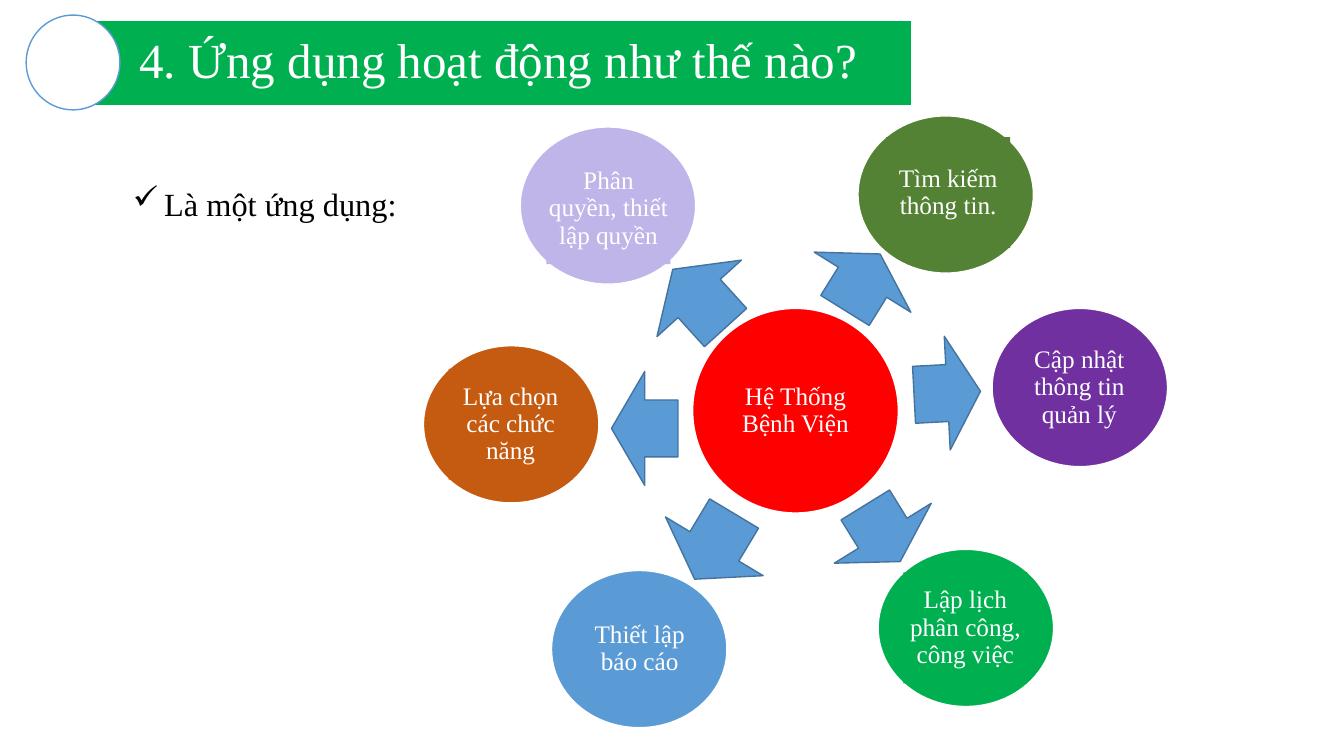
from dataclasses import dataclass

from lxml import etree
from pptx import Presentation
from pptx.dml.color import RGBColor
from pptx.enum.shapes import MSO_SHAPE
from pptx.enum.text import MSO_ANCHOR, PP_ALIGN
from pptx.oxml.ns import qn
from pptx.shapes.autoshape import Shape
from pptx.slide import Slide
from pptx.util import Inches, Pt

ELLIPSE = MSO_SHAPE.OVAL
RECTANGLE = MSO_SHAPE.RECTANGLE
UP_ARROW = MSO_SHAPE.UP_ARROW
MIDDLE = MSO_ANCHOR.MIDDLE
LEFT, CENTER, JUSTIFY = PP_ALIGN.LEFT, PP_ALIGN.CENTER, PP_ALIGN.JUSTIFY


@dataclass(frozen=True)
class Theme:
    font: str = "Times New Roman"
    title_size: float = 35
    body_size: float = 23.1
    label_size: float = 18
    white: str = "FFFFFF"
    black: str = "000000"
    green: str = "00B050"
    red: str = "FF0000"
    olive: str = "548235"
    purple: str = "7030A0"
    blue: str = "5B9BD5"
    dark_blue: str = "43739E"
    orange: str = "C55A11"
    lilac: str = "C0B5E9"


THEME = Theme()


@dataclass(frozen=True)
class Box:
    left: float
    top: float
    width: float
    height: float

    def lengths(self) -> tuple[int, int, int, int]:
        return (Inches(self.left), Inches(self.top),
                Inches(self.width), Inches(self.height))


@dataclass(frozen=True)
class Bubble:
    """A coloured ellipse and its label; some labels have a filled backing."""
    text: str
    color: str
    ellipse: Box
    label: Box
    label_filled: bool = False
    inset: float = 0.02


@dataclass(frozen=True)
class Arrow:
    left: float
    top: float
    rotation: float
    height: float = 0.66
    width: float = 1.13


BUBBLES = (
    Bubble("Hệ Thống Bệnh Viện", THEME.red,
           Box(6.87, 3.06, 2.04, 2.03), Box(7.17, 3.36, 1.44, 1.43), inset=0.03),
    Bubble("Tìm kiếm thông tin.", THEME.olive,
           Box(8.51, 1.15, 1.74, 1.56), Box(8.79, 1.36, 1.23, 1.1), True),
    Bubble("Cập nhật thông tin quản lý", THEME.purple,
           Box(9.84, 3.06, 1.74, 1.57), Box(10.09, 3.29, 1.23, 1.11)),
    Bubble("Lập lịch phân công, công việc", THEME.green,
           Box(8.71, 5.45, 1.74, 1.56), Box(8.96, 5.68, 1.23, 1.1), True),
    Bubble("Thiết lập báo cáo", THEME.blue,
           Box(5.47, 5.66, 1.74, 1.56), Box(5.73, 5.89, 1.23, 1.1)),
    Bubble("Lựa chọn các chức năng", THEME.orange,
           Box(4.2, 3.43, 1.74, 1.56), Box(4.45, 3.66, 1.23, 1.1), True),
    Bubble("Phân quyền, thiết lập quyền", THEME.lilac,
           Box(5.16, 1.26, 1.74, 1.56), Box(5.42, 1.52, 1.23, 1.1), True),
)

ARROWS = (
    Arrow(6.37, 2.57, 317.8, height=0.78),
    Arrow(8.19, 4.96, 148.3),
    Arrow(5.83, 3.92, 270),
    Arrow(6.52, 5.04, 211, height=0.76),
    Arrow(8.83, 3.57, 87),
    Arrow(7.99, 2.47, 31.9),
)


def add_filled_shape(slide: Slide, kind: MSO_SHAPE, box: Box, fill: str,
                     line: str | None = None) -> Shape:
    shape = slide.shapes.add_shape(kind, *box.lengths())
    shape.shadow.inherit = False
    shape.fill.solid()
    shape.fill.fore_color.rgb = RGBColor.from_string(fill)
    if line is None:
        shape.line.fill.background()
    else:
        shape.line.color.rgb = RGBColor.from_string(line)
        shape.line.width = Pt(1)
    return shape


def set_text(shape: Shape, text: str, size: float, color: str,
             alignment: PP_ALIGN, line_spacing: float = 0.9) -> None:
    shape.text_frame.word_wrap = True
    paragraph = shape.text_frame.paragraphs[0]
    paragraph.text = text
    paragraph.alignment = alignment
    paragraph.line_spacing = line_spacing
    paragraph.font.name = THEME.font
    paragraph.font.size = Pt(size)
    paragraph.font.color.rgb = RGBColor.from_string(color)


def set_insets(shape: Shape, inset: float, left: float) -> None:
    frame = shape.text_frame
    frame.vertical_anchor = MIDDLE
    frame.margin_left = Inches(left)
    frame.margin_top = frame.margin_right = frame.margin_bottom = Inches(inset)


def add_bubble(slide: Slide, bubble: Bubble) -> None:
    add_filled_shape(slide, ELLIPSE, bubble.ellipse, bubble.color, THEME.white)
    if bubble.label_filled:
        label = add_filled_shape(slide, RECTANGLE, bubble.label, bubble.color)
    else:
        label = slide.shapes.add_textbox(*bubble.label.lengths())
    set_insets(label, bubble.inset, bubble.inset)
    set_text(label, bubble.text, THEME.label_size, THEME.white, CENTER)


def add_arrow(slide: Slide, arrow: Arrow) -> None:
    box = Box(arrow.left, arrow.top, arrow.width, arrow.height)
    shape = add_filled_shape(slide, UP_ARROW, box, THEME.blue, THEME.dark_blue)
    shape.rotation = arrow.rotation


def add_title(slide: Slide) -> None:
    banner = add_filled_shape(slide, RECTANGLE, Box(0.79, 0.2, 8.25, 0.85),
                              THEME.green, THEME.white)
    set_insets(banner, 0.1, left=0.59)
    set_text(banner, "4. Ứng dụng hoạt động như thế nào?",
             THEME.title_size, THEME.white, LEFT)
    add_filled_shape(slide, ELLIPSE, Box(0.26, 0.15, 0.93, 0.94),
                     THEME.white, THEME.blue)


def add_check_item(slide: Slide) -> None:
    item = slide.shapes.add_textbox(*Box(1.22, 1.62, 3.97, 0.66).lengths())
    set_text(item, "Là một ứng dụng:", THEME.body_size, THEME.black,
             JUSTIFY, line_spacing=1.4)
    paragraph = item.text_frame.paragraphs[0]
    paragraph.space_before = Pt(10)
    properties = paragraph._p.get_or_add_pPr()
    properties.set("marL", str(Inches(0.31)))
    properties.set("indent", str(-Inches(0.31)))
    bullet = etree.Element(qn("a:buChar"), char="✓")
    properties.find(qn("a:defRPr")).addprevious(bullet)


def main() -> None:
    presentation = Presentation()
    presentation.slide_width = Inches(13.33)
    presentation.slide_height = Inches(7.5)
    slide = presentation.slides.add_slide(presentation.slide_layouts[6])
    add_check_item(slide)
    for bubble in BUBBLES:
        add_bubble(slide, bubble)
    for arrow in ARROWS:
        add_arrow(slide, arrow)
    add_title(slide)
    presentation.save("out.pptx")


if __name__ == "__main__":
    main()
